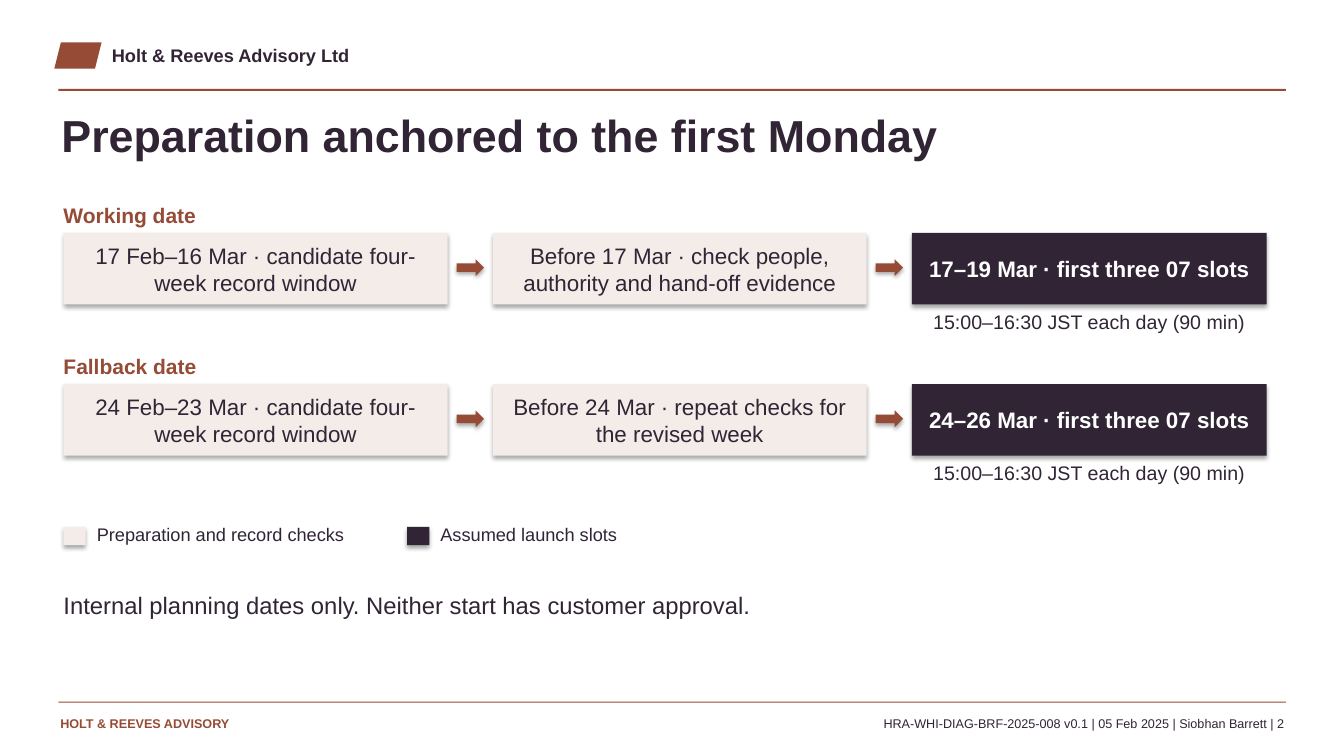
from lxml.etree import SubElement
from pptx import Presentation
from pptx.dml.color import RGBColor
from pptx.enum.shapes import MSO_SHAPE
from pptx.enum.text import MSO_ANCHOR, PP_ALIGN
from pptx.oxml.ns import qn
from pptx.util import Cm, Pt

HUES = {"rust": "964B37", "plum": "302435", "blush": "F4ECE8", "white": "FFFFFF"}
WIDTHS = [9.68, 9.42, 8.94]
GAP = 1.14
HOURS = "15:00–16:30 JST each day (90 min)"
ROWS = [
    ("Working date", ["17 Feb–16 Mar · candidate four-week record window",
                      "Before 17 Mar · check people, authority and hand-off evidence",
                      "17–19 Mar · first three 07 slots"]),
    ("Fallback date", ["24 Feb–23 Mar · candidate four-week record window",
                       "Before 24 Mar · repeat checks for the revised week",
                       "24–26 Mar · first three 07 slots"]),
]
KEYS = [("blush", "Preparation and record checks"), ("plum", "Assumed launch slots")]


def color(hue):
    return RGBColor.from_string(HUES[hue])


def apply(item, values):
    for name, value in values.items():
        setattr(item, name, value)


def write(shape, text, size, hue="plum", bold=False, align=PP_ALIGN.LEFT,
          anchor=MSO_ANCHOR.TOP, side=0):
    frame = shape.text_frame
    apply(frame, {"word_wrap": True, "vertical_anchor": anchor,
                  "margin_left": Cm(side), "margin_right": Cm(side),
                  "margin_top": 0, "margin_bottom": 0})
    line = frame.paragraphs[0]
    line.alignment = align
    run = line.add_run()
    run.text = text
    apply(run.font, {"name": "Arial", "size": Pt(size), "bold": bold})
    run.font.color.rgb = color(hue)


def label(slide, box, text, size, **style):
    write(slide.shapes.add_textbox(*map(Cm, box)), text, size, **style)


def block(slide, box, hue, kind=MSO_SHAPE.RECTANGLE, shade=False):
    shape = slide.shapes.add_shape(kind, *map(Cm, box))
    shape.fill.solid()
    shape.fill.fore_color.rgb = color(hue)
    shape.line.fill.background()
    shape.shadow.inherit = False
    if shade:
        glow = SubElement(shape._element.spPr.find(qn("a:effectLst")), qn("a:outerShdw"),
                          blurRad="39370", dist="22860", dir="5400000", rotWithShape="0")
        tint = SubElement(glow, qn("a:srgbClr"), val="000000")
        SubElement(tint, qn("a:alpha"), val="35000")
    return shape


def header(slide, left, top, width):
    block(slide, (left - 0.1, top, 1.19, 0.66), "rust", MSO_SHAPE.PARALLELOGRAM)
    label(slide, (left + 1.35, top + 0.05, 15.24, 0.69),
          "Holt & Reeves Advisory Ltd", 13, bold=True)
    block(slide, (left, top + 1.17, width, 0.05), "rust")
    label(slide, (left + 0.08, top + 1.65, 30.48, 1.98),
          "Preparation anchored to the first Monday", 32, bold=True)


def footer(slide, left, top, width):
    block(slide, (left, top, width, 0.03), "rust")
    label(slide, (left + 0.05, top + 0.35, 8.64, 0.64),
          "HOLT & REEVES ADVISORY", 9, hue="rust", bold=True)
    label(slide, (left + width - 21.94, top + 0.35, 21.89, 0.64),
          "HRA-WHI-DIAG-BRF-2025-008 v0.1 | 05 Feb 2025 | Siobhan Barrett | 2",
          9, align=PP_ALIGN.RIGHT)


def track(slide, left, top, title, steps):
    label(slide, (left, top, 12.7, 0.64), title, 15, hue="rust", bold=True)
    x, y, high = left, top + 0.76, 1.8
    for rank, (text, width) in enumerate(zip(steps, WIDTHS)):
        last = rank == len(steps) - 1
        card = block(slide, (x, y, width, high), "plum" if last else "blush", shade=True)
        write(card, text, 16, hue="white" if last else "plum", bold=last,
              align=PP_ALIGN.CENTER, anchor=MSO_ANCHOR.MIDDLE, side=0.33)
        if last:
            label(slide, (x, y + high + 0.13, width, 0.66), HOURS, 14,
                  align=PP_ALIGN.CENTER)
        else:
            block(slide, (x + width + 0.23, y + 0.66, 0.69, 0.43), "rust",
                  MSO_SHAPE.RIGHT_ARROW, shade=True)
        x += width + GAP


def legend(slide, left, top, pitch):
    for rank, (hue, text) in enumerate(KEYS):
        x = left + rank * pitch
        block(slide, (x, top + 0.1, 0.56, 0.46), hue, shade=True)
        label(slide, (x + 0.84, top, 7.8, 0.76), text, 13)


def main():
    deck = Presentation()
    apply(deck, {"slide_width": Cm(33.87), "slide_height": Cm(19.05)})
    slide = deck.slides.add_slide(deck.slide_layouts[6])
    header(slide, 1.47, 1.07, 30.94)
    for rank, (title, steps) in enumerate(ROWS):
        track(slide, 1.6, 5.11 + rank * 3.81, title, steps)
    legend(slide, 1.6, 13.18, 8.66)
    label(slide, (1.6, 14.88, 30.33, 2.03),
          "Internal planning dates only. Neither start has customer approval.", 17)
    footer(slide, 1.47, 17.68, 30.94)
    deck.save("out.pptx")


if __name__ == "__main__":
    main()
